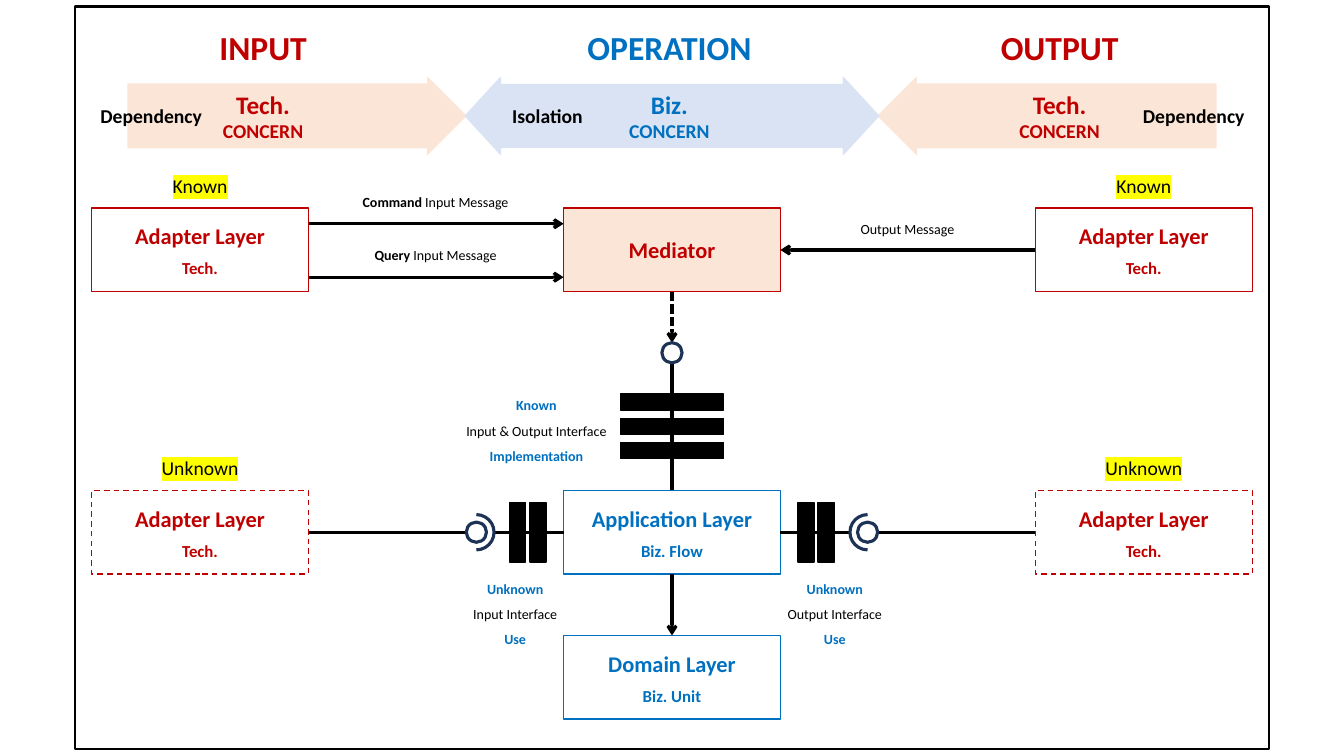
from dataclasses import dataclass

from lxml import etree
from pptx import Presentation
from pptx.dml.color import RGBColor
from pptx.enum.dml import MSO_LINE
from pptx.enum.shapes import MSO_CONNECTOR, MSO_SHAPE
from pptx.enum.text import MSO_ANCHOR, PP_ALIGN
from pptx.oxml import parse_xml
from pptx.oxml.ns import nsdecls, qn
from pptx.util import Inches, Pt

RECTANGLE, ELLIPSE, ARC = MSO_SHAPE.RECTANGLE, MSO_SHAPE.OVAL, MSO_SHAPE.ARC
RIGHT_ARROW, TWO_WAY_ARROW = MSO_SHAPE.RIGHT_ARROW, MSO_SHAPE.LEFT_RIGHT_ARROW
STRAIGHT = MSO_CONNECTOR.STRAIGHT
DASH, SHORT_DASH = MSO_LINE.DASH, MSO_LINE.SQUARE_DOT
CENTER, MIDDLE = PP_ALIGN.CENTER, MSO_ANCHOR.MIDDLE
TOP, LEFT, BOTTOM, RIGHT = range(4)


@dataclass(frozen=True)
class Theme:
    font: str = "Calibri"
    tech: str = "C00000"
    business: str = "0070C0"
    ink: str = "000000"
    paper: str = "FFFFFF"
    tech_fill: str = "FBE5D6"
    business_fill: str = "DAE3F3"
    port: str = "1E3256"
    marker: str = "FFFF00"
    heading: int = 24
    concern: int = 18
    layer: int = 16
    state: int = 14
    detail: int = 12
    note: int = 10
    thin: float = 1
    frame: float = 1.5
    thick: float = 2.25


THEME = Theme()
WIDTH, HEIGHT = 13.33, 7.5
# Column centres, mirrored about the middle of the slide
MID = WIDTH / 2
SIDE = 4.68
INPUT_X, OUTPUT_X = MID - SIDE, MID + SIDE
# Row centres
HEADING_Y, BAND_Y, KNOWN_Y, UNKNOWN_Y, DOMAIN_Y = 0.47, 1.15, 2.48, 5.28, 6.72
BOX_WIDTH, BOX_HEIGHT = 2.15, 0.83
BALL, SOCKET, BAR = 0.2, 0.35, 0.16
PORT_OFFSET = 1.94
BALL_Y = 3.5


def add_figure(slide, kind, x, y, width, height, fill=None, line=THEME.ink,
               weight=THEME.thin, dash=None):
    """Draw a preset shape centred on x, y."""
    shape = slide.shapes.add_shape(kind, Inches(x - width / 2), Inches(y - height / 2),
                                   Inches(width), Inches(height))
    shape.shadow.inherit = False
    if fill:
        shape.fill.solid()
        shape.fill.fore_color.rgb = RGBColor.from_string(fill)
    else:
        shape.fill.background()
    shape.line.color.rgb = RGBColor.from_string(line)
    shape.line.width = Pt(weight)
    if dash:
        shape.line.dash_style = dash
    return shape


def add_label(slide, x, y, width, lines, spacing=1.0):
    """Centre lines of (text, size, colour, bold) on x, y."""
    height = sum(size for _, size, _, _ in lines) * 1.22 * spacing / 72 + 0.1
    box = slide.shapes.add_textbox(Inches(x - width / 2), Inches(y - height / 2),
                                   Inches(width), Inches(height))
    frame = box.text_frame
    frame.word_wrap = False
    frame.vertical_anchor = MIDDLE
    for index, (text, size, color, bold) in enumerate(lines):
        paragraph = frame.add_paragraph() if index else frame.paragraphs[0]
        paragraph.alignment = CENTER
        paragraph.line_spacing = spacing
        paragraph.font.name = THEME.font
        paragraph.font.size = Pt(size)
        paragraph.font.bold = bold
        paragraph.font.color.rgb = RGBColor.from_string(color)
        paragraph.add_run().text = text
    return frame.paragraphs[0]


def add_link(slide, begin, end, begin_join=None, end_join=None, arrow=False, dash=None):
    """Draw a line; each join is a (rectangle, side) pair."""
    link = slide.shapes.add_connector(STRAIGHT, *(Inches(value) for value in (*begin, *end)))
    if begin_join:
        link.begin_connect(*begin_join)
    if end_join:
        link.end_connect(*end_join)
    link.line.color.rgb = RGBColor.from_string(THEME.ink)
    link.line.width = Pt(THEME.thick)
    if dash:
        link.line.dash_style = dash
    properties = link._element.spPr
    if arrow:
        etree.SubElement(properties.find(qn("a:ln")), qn("a:tailEnd"), type="arrow")
    etree.SubElement(properties, qn("a:effectLst"))


def add_layer(slide, x, y, name, detail, color, dash=None):
    box = add_figure(slide, RECTANGLE, x, y, BOX_WIDTH, BOX_HEIGHT, THEME.paper, color, dash=dash)
    add_label(slide, x, y - 0.14, 2, [(name, THEME.layer, color, True)])
    add_label(slide, x, y + 0.18, 1, [(detail, THEME.detail, color, True)])
    return box


def add_adapter(slide, x, y, state, dash=None):
    box = add_layer(slide, x, y, "Adapter Layer", "Tech.", THEME.tech, dash)
    paragraph = add_label(slide, x, y - 0.64, 1.1, [(state, THEME.state, THEME.ink, False)])
    properties = paragraph.runs[0]._r.get_or_add_rPr()
    properties.append(parse_xml(
        f'<a:highlight {nsdecls("a")}><a:srgbClr val="{THEME.marker}"/></a:highlight>'))
    return box


def add_message(slide, x, y, text, kind=None):
    """Label a link; kind is a bold word that leads the text."""
    paragraph = add_label(slide, x, y, 1.8, [(kind or text, THEME.note, THEME.ink, None)])
    if kind:
        paragraph.runs[0].font.bold = True
        paragraph.add_run().text = " " + text


def add_note(slide, x, y, width, state, interface, role):
    add_label(slide, x, y, width, [
        (state, THEME.note, THEME.business, True),
        (interface, THEME.note, THEME.ink, False),
        (role, THEME.note, THEME.business, True)], spacing=1.5)


def add_ball(slide, x, y):
    add_figure(slide, ELLIPSE, x, y, BALL, BALL, THEME.paper, THEME.port, THEME.thick)


def add_port(slide, direction, adapter, application):
    """Join an adapter to the application; direction is -1 for left, 1 for right."""
    x = MID + direction * PORT_OFFSET
    outer, inner = (LEFT, RIGHT) if direction > 0 else (RIGHT, LEFT)
    add_link(slide, (x - direction * SOCKET / 2, UNKNOWN_Y),
             (MID + direction * BOX_WIDTH / 2, UNKNOWN_Y), end_join=(application, inner))
    add_link(slide, (MID + direction * (SIDE - BOX_WIDTH / 2), UNKNOWN_Y),
             (x + direction * BALL / 2, UNKNOWN_Y), begin_join=(adapter, outer))
    socket = add_figure(slide, ARC, x, UNKNOWN_Y, SOCKET, SOCKET, None, THEME.port, THEME.thick)
    # Angles are in units of 100000 / 60000 degrees
    angles = (54, 162) if direction > 0 else (162, 54)
    for index, angle in enumerate(angles):
        socket.adjustments[index] = angle
    add_ball(slide, x, UNKNOWN_Y)
    for offset in (1.33, 1.53):
        add_figure(slide, RECTANGLE, MID + direction * offset, UNKNOWN_Y, BAR, 0.59, THEME.ink)


def add_band(slide, kind, x, width, fill, adjustments, rotation=0):
    band = add_figure(slide, kind, x, BAND_Y, width, 0.76, fill, fill)
    band.rotation = rotation
    for index, value in enumerate(adjustments):
        band.adjustments[index] = value


def add_header(slide):
    add_band(slide, RIGHT_ARROW, MID - 3.72, 3.35, THEME.tech_fill, (0.83, 0.5))
    add_band(slide, RIGHT_ARROW, MID + 3.72, 3.35, THEME.tech_fill, (0.83, 0.5), 180)
    add_band(slide, TWO_WAY_ARROW, MID, 4.1, THEME.business_fill, (0.82, 0.46))
    for x, heading, concern, color in ((2.61, "INPUT", "Tech.", THEME.tech),
                                       (6.64, "OPERATION", "Biz.", THEME.business),
                                       (10.51, "OUTPUT", "Tech.", THEME.tech)):
        add_label(slide, x, HEADING_Y, 2.2, [(heading, THEME.heading, color, True)])
        add_label(slide, x, BAND_Y, 1.2, [(concern, THEME.concern, color, True),
                                          ("CONCERN", THEME.state, color, True)])
    for x, text in ((1.5, "Dependency"), (5.43, "Isolation"), (11.84, "Dependency")):
        add_label(slide, x, BAND_Y, 1.4, [(text, THEME.state, THEME.ink, True)])


def main():
    presentation = Presentation()
    presentation.slide_width, presentation.slide_height = Inches(WIDTH), Inches(HEIGHT)
    slide = presentation.slides.add_slide(presentation.slide_layouts[6])
    add_figure(slide, RECTANGLE, MID, HEIGHT / 2, 11.85, 7.37, weight=THEME.frame)
    add_header(slide)

    add_adapter(slide, INPUT_X, KNOWN_Y, "Known")
    output_adapter = add_adapter(slide, OUTPUT_X, KNOWN_Y, "Known")
    mediator = add_figure(slide, RECTANGLE, MID, KNOWN_Y, BOX_WIDTH, BOX_HEIGHT,
                          THEME.tech_fill, THEME.tech)
    add_label(slide, MID, KNOWN_Y, 1.3, [("Mediator", THEME.layer, THEME.tech, True)])
    half = BOX_WIDTH / 2
    for y, kind in ((2.22, "Command"), (2.75, "Query")):
        add_link(slide, (INPUT_X + half, y), (MID - half, y), arrow=True)
        add_message(slide, 4.32, y - 0.22, "Input Message", kind)
    add_link(slide, (OUTPUT_X - half, KNOWN_Y), (MID + half, KNOWN_Y),
             (output_adapter, LEFT), (mediator, RIGHT), arrow=True)
    add_message(slide, 9, KNOWN_Y - 0.21, "Output Message")

    application = add_layer(slide, MID, UNKNOWN_Y, "Application Layer", "Biz. Flow", THEME.business)
    domain = add_layer(slide, MID, DOMAIN_Y, "Domain Layer", "Biz. Unit", THEME.business)
    add_link(slide, (MID, UNKNOWN_Y), (MID, DOMAIN_Y),
             (application, BOTTOM), (domain, TOP), arrow=True)
    add_link(slide, (MID, KNOWN_Y), (MID, BALL_Y - BALL / 2), (mediator, BOTTOM),
             arrow=True, dash=SHORT_DASH)
    add_link(slide, (MID, UNKNOWN_Y), (MID, BALL_Y + BALL / 2), (application, TOP))
    add_ball(slide, MID, BALL_Y)
    for row in range(3):
        add_figure(slide, RECTANGLE, MID, 3.99 + 0.24 * row, 1.02, BAR, THEME.ink)

    for direction in (-1, 1):
        adapter = add_adapter(slide, MID + direction * SIDE, UNKNOWN_Y, "Unknown", DASH)
        add_port(slide, direction, adapter, application)
    add_note(slide, 5.32, 4.23, 1.8, "Known", "Input & Output Interface", "Implementation")
    add_note(slide, 5.11, 6.05, 1.3, "Unknown", "Input Interface", "Use")
    add_note(slide, 8.28, 6.05, 1.3, "Unknown", "Output Interface", "Use")
    presentation.save("out.pptx")


if __name__ == "__main__":
    main()
